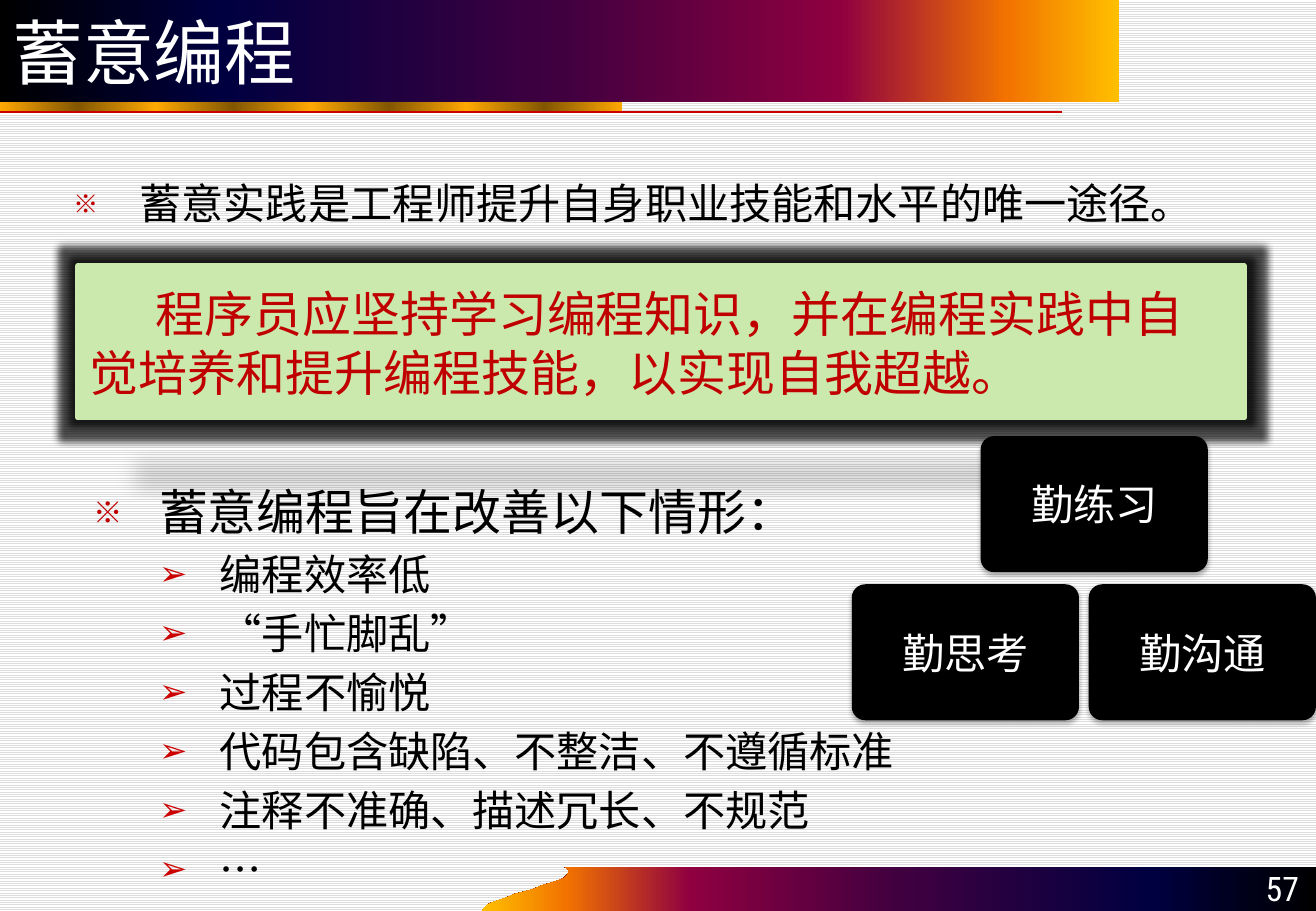
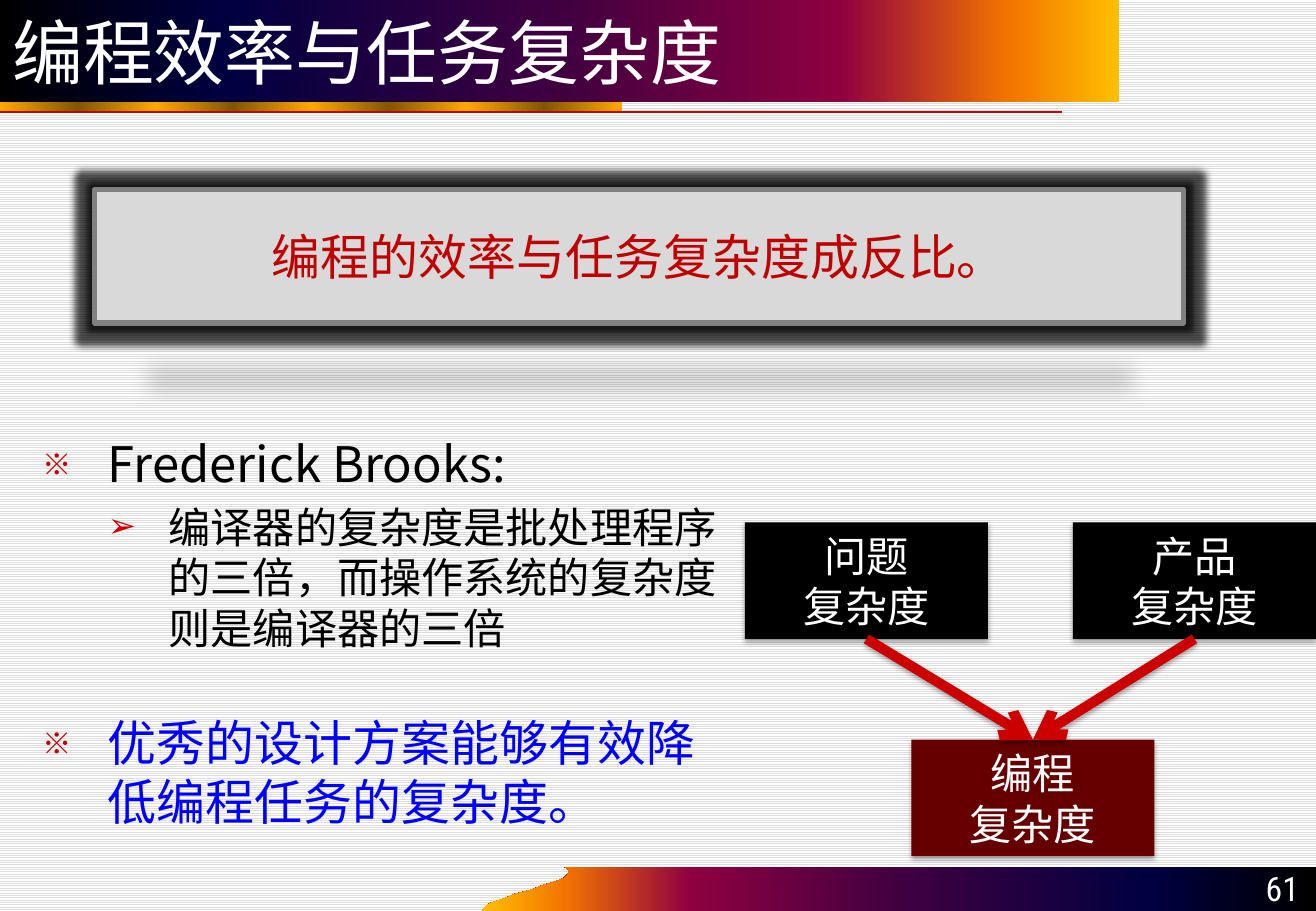
from dataclasses import dataclass

import pptx
import pptx.dml.color
import pptx.enum.dml
import pptx.enum.shapes
import pptx.enum.text
import pptx.oxml.ns
import pptx.util
from lxml import etree

ALIGN = pptx.enum.text.PP_ALIGN
ANCHOR = pptx.enum.text.MSO_ANCHOR
SHAPE = pptx.enum.shapes.MSO_SHAPE
STRAIGHT = pptx.enum.shapes.MSO_CONNECTOR.STRAIGHT
Pt = pptx.util.Pt
qn = pptx.oxml.ns.qn
EMU_PER_PX = 9144
WIDTH, HEIGHT = 1083, 750


@dataclass(frozen=True)
class Theme:
    """Colours, fonts and type sizes shared by the slides."""
    black: str = "000000"
    white: str = "FFFFFF"
    stripe: str = "DDDDDD"
    red: str = "CC0000"
    deep_red: str = "C00000"
    maroon: str = "660000"
    blue: str = "0000FF"
    green: str = "CCE9AD"
    pale_gray: str = "D9D9D9"
    gray: str = "808080"
    sunset: tuple = ((0, "000000"), (20, "000040"), (50, "400040"),
                     (75, "8F0040"), (90, "F27300"), (100, "FFBF00"))
    gold: tuple = tuple((i * 12.5, ("FFA800", "825600")[i % 2]) for i in range(9))
    heading_font: str = "DejaVu Sans"
    body_font: str = "Noto Sans CJK SC"
    number_font: str = "Roboto Condensed"
    title: int = 42
    large: int = 29
    medium: int = 25
    number: int = 20


THEME = Theme()


def px(length):
    """Turn px into EMU."""
    return pptx.util.Emu(length * EMU_PER_PX)


def rgb(color):
    """Return the colour object of a hex string."""
    return pptx.dml.color.RGBColor.from_string(color)


def child(parent, tag, **attributes):
    """Append a drawing element with attributes."""
    element = etree.SubElement(parent, qn(f"a:{tag}"))
    for name, value in attributes.items():
        element.set(name, str(value))
    return element


def shade(parent, tag, alpha, **attributes):
    """Append one translucent black effect."""
    effect = child(parent, tag, **attributes)
    child(child(effect, "srgbClr", val=THEME.black), "alpha", val=alpha * 1000)


def effect_list(shape):
    """Return the effect list of a shape, empty unless it has one."""
    properties = shape._element.spPr
    found = properties.find(qn("a:effectLst"))
    return child(properties, "effectLst") if found is None else found


def soft_shadow(shape):
    """Give a shape a small shadow below."""
    shade(effect_list(shape), "outerShdw", 35, blurRad=40000, dist=23000,
          dir=5400000, rotWithShape=0)


def floating_shadow(shape):
    """Give a shape a dark halo and a flattened shadow beneath."""
    effects = effect_list(shape)
    shade(effects, "glow", 70, rad=101600)
    shade(effects, "outerShdw", 15, blurRad=152400, dist=317500, dir=5400000,
          sx=90000, sy=-19000, rotWithShape=0)


def gradient(shape, stops, angle=0):
    """Fill a shape with a linear gradient."""
    shape.fill.gradient()
    shape.fill.gradient_angle = angle
    stop_list = shape._element.spPr.find(qn("a:gradFill")).find(qn("a:gsLst"))
    for old in list(stop_list):
        stop_list.remove(old)
    for position, color in stops:
        child(child(stop_list, "gs", pos=int(position * 1000)), "srgbClr", val=color)


def write(paragraph, text, size, color, font=THEME.body_font, align=ALIGN.LEFT):
    """Write a paragraph and set its type."""
    paragraph.text = text
    paragraph.alignment = align
    paragraph.line_spacing = Pt(round(size * 1.2))
    paragraph.font.size = Pt(size)
    paragraph.font.color.rgb = rgb(color)
    paragraph.font.name = font
    child(paragraph._p.pPr.find(qn("a:defRPr")), "ea", typeface=THEME.body_font)


def frame_of(shape, anchor):
    """Prepare the text frame of a shape."""
    frame = shape.text_frame
    frame.word_wrap = True
    frame.auto_size = pptx.enum.text.MSO_AUTO_SIZE.NONE
    frame.vertical_anchor = anchor
    frame.margin_left = frame.margin_right = px(10)
    frame.margin_top = frame.margin_bottom = px(5)
    return frame


def text_box(slide, box, anchor=ANCHOR.TOP):
    """Add a text box and return its frame."""
    return frame_of(slide.shapes.add_textbox(*map(px, box)), anchor)


def block(slide, kind, box, fill, line=None):
    """Add a flat shape with an optional outline."""
    shape = slide.shapes.add_shape(kind, *map(px, box))
    shape.shadow.inherit = False
    shape.fill.solid()
    shape.fill.fore_color.rgb = rgb(fill)
    if line:
        shape.line.color.rgb = rgb(line)
        shape.line.width = Pt(3)
    else:
        shape.line.fill.background()
    return shape


def bullet(paragraph, level):
    """Give a paragraph the hanging bullet of its level."""
    margin, hang, color, percent, font, mark = (
        (54, 54, THEME.deep_red, 60, THEME.body_font, "※"),
        (104, 50, THEME.red, 80, THEME.heading_font, "➢"))[level]
    paragraph.level = level
    properties = paragraph._p.get_or_add_pPr()
    properties.set("marL", str(px(margin)))
    properties.set("indent", str(-px(hang)))
    child(child(properties, "buClr"), "srgbClr", val=color)
    child(properties, "buSzPct", val=percent * 1000)
    child(properties, "buFont", typeface=font)
    child(properties, "buChar", char=mark)


def bullet_list(slide, box, items):
    """Place items of level, text, size, colour and space before."""
    frame = text_box(slide, box)
    for index, (level, text, size, color, gap) in enumerate(items):
        paragraph = frame.add_paragraph() if index else frame.paragraphs[0]
        bullet(paragraph, level)
        if index:
            paragraph.space_before = Pt(gap)
        write(paragraph, text, size, color)


def callout(slide, box, text, fill, line, align=ALIGN.LEFT, indent=0):
    """Place a floating statement."""
    panel = block(slide, SHAPE.RECTANGLE, box, fill, line)
    floating_shadow(panel)
    statement = frame_of(panel, ANCHOR.MIDDLE).paragraphs[0]
    statement._p.get_or_add_pPr().set("indent", str(px(indent)))
    write(statement, text, THEME.large, THEME.deep_red, THEME.heading_font, align)


def tile(slide, kind, box, text, fill):
    """Place a labelled tile and return it."""
    shape = block(slide, kind, box, fill)
    soft_shadow(shape)
    label = frame_of(shape, ANCHOR.MIDDLE).paragraphs[0]
    write(label, text, THEME.medium, THEME.white, align=ALIGN.CENTER)
    return shape


def title_band(slide, box, text):
    """Place the title with the gold strip and red rule under it."""
    left, top, width, height = box
    title = slide.shapes.title
    title.left, title.top, title.width, title.height = map(px, box)
    gradient(title, THEME.sunset)
    heading = frame_of(title, ANCHOR.MIDDLE).paragraphs[0]
    write(heading, text, THEME.title, THEME.white, THEME.heading_font)
    bottom = top + height
    strip = block(slide, SHAPE.RECTANGLE, (left, bottom, 512, 8), THEME.black)
    gradient(strip, THEME.gold)
    rule = slide.shapes.add_connector(
        STRAIGHT, *map(px, (left, bottom + 8, left + 874, bottom + 8)))
    rule.line.color.rgb = rgb(THEME.red)
    rule.line.width = Pt(1)
    effect_list(rule)


def footer_band(slide, box, number):
    """Place the footer with a curved left end and the page number."""
    left, top, width, height = box
    right, bottom = left + width, top + height
    controls = ((left, bottom), (left, bottom - 12), (left + 90, top + 11), (left + 68, top))
    weights = [((1 - t) ** 3, 3 * t * (1 - t) ** 2, 3 * t * t * (1 - t), t ** 3)
               for t in (step / 16 for step in range(17))]
    curve = [tuple(sum(w * point[axis] for w, point in zip(row, controls))
                   for axis in (0, 1)) for row in weights]
    builder = slide.shapes.build_freeform(right, top, scale=EMU_PER_PX)
    builder.add_line_segments([(right, bottom)] + curve, close=True)
    wave = builder.convert_to_shape()
    wave.shadow.inherit = False
    gradient(wave, THEME.sunset, 180)
    wave.line.fill.background()
    page = text_box(slide, (right - 100, top - 1, 96, 40), ANCHOR.BOTTOM).paragraphs[0]
    write(page, number, THEME.number, THEME.white, THEME.number_font, ALIGN.RIGHT)


def new_slide(deck, title, number):
    """Add a slide with the shared bands."""
    slide = deck.slides.add_slide(deck.slide_layouts[5])
    title_band(slide, (0, 0, 921, 84), title)
    footer_band(slide, (397, 714, 686, 36), number)
    return slide


def habit_tiles(slide, box):
    """Stack three habits as a pyramid of tiles."""
    left, top, width, height = box
    tile_width, tile_height = 187, 112
    across, down = width - tile_width, height - tile_height
    for text, x, y in (("勤练习", 106, 0), ("勤思考", 0, down), ("勤沟通", across, down)):
        habit = tile(slide, SHAPE.ROUNDED_RECTANGLE,
                     (left + x, top + y, tile_width, tile_height), text, THEME.black)
        habit.adjustments[0] = 0.1


def complexity_diagram(slide, box):
    """Lead two complexities by arrows into a third."""
    left, top, width, height = box
    tile_width, tile_height = 200, 96
    across, down = width - tile_width, height - tile_height
    problem, product, programming = (
        tile(slide, SHAPE.RECTANGLE, (left + x, top + y, tile_width, tile_height),
             f"{name}\v复杂度", fill)
        for name, x, y, fill in (("问题", 0, 0, THEME.black),
                                 ("产品", across, 0, THEME.black),
                                 ("编程", 137, down, THEME.maroon)))
    for cause in (problem, product):
        arrow = slide.shapes.add_connector(STRAIGHT, 0, 0, 0, 0)
        arrow.begin_connect(cause, 2)
        arrow.end_connect(programming, 0)
        arrow.line.color.rgb = rgb(THEME.red)
        arrow.line.width = Pt(6)
        child(arrow.line._get_or_add_ln(), "tailEnd", type="arrow")
        soft_shadow(arrow)


def practice_slide(deck):
    """Build the slide on deliberate programming."""
    slide = new_slide(deck, "蓄意编程", "57")
    bullet_list(slide, (51, 141, 999, 55), [
        (0, "蓄意实践是工程师提升自身职业技能和水平的唯一途径。", THEME.medium, THEME.black, 0)])
    callout(slide, (64, 219, 960, 125),
            "程序员应坚持学习编程知识，并在编程实践中自觉培养和提升编程技能，以实现自我超越。",
            THEME.green, THEME.green, indent=54)
    problems = ("编程效率低", "“手忙脚乱”", "过程不愉悦",
                "代码包含缺陷、不整洁、不遵循标准", "注释不准确、描述冗长、不规范", "…")
    bullet_list(slide, (67, 391, 948, 320),
                [(0, "蓄意编程旨在改善以下情形：", THEME.large, THEME.black, 0)]
                + [(1, text, THEME.medium, THEME.black, 5) for text in problems])
    habit_tiles(slide, (701, 359, 382, 234))


def complexity_slide(deck):
    """Build the slide on efficiency and complexity."""
    slide = new_slide(deck, "编程效率与任务复杂度", "61")
    callout(slide, (78, 156, 896, 110), "编程的效率与任务复杂度成反比。",
            THEME.pale_gray, THEME.gray, ALIGN.CENTER)
    bullet_list(slide, (25, 352, 593, 323), [
        (0, "Frederick Brooks:", THEME.large, THEME.black, 0),
        (1, "编译器的复杂度是批处理程序的三倍，而操作系统的复杂度则是编译器的三倍",
         THEME.medium, THEME.black, 5),
        (0, "优秀的设计方案能够有效降低编程任务的复杂度。", THEME.large, THEME.blue, 35)])
    complexity_diagram(slide, (613, 430, 470, 275))


def main():
    """Build and save the presentation."""
    deck = pptx.Presentation()
    deck.slide_width, deck.slide_height = px(WIDTH), px(HEIGHT)
    paper = deck.slide_master.background.fill
    paper.patterned()
    paper.pattern = pptx.enum.dml.MSO_PATTERN.LIGHT_HORIZONTAL
    paper.fore_color.rgb = rgb(THEME.stripe)
    paper.back_color.rgb = rgb(THEME.white)
    practice_slide(deck)
    complexity_slide(deck)
    deck.save("out.pptx")


if __name__ == "__main__":
    main()
